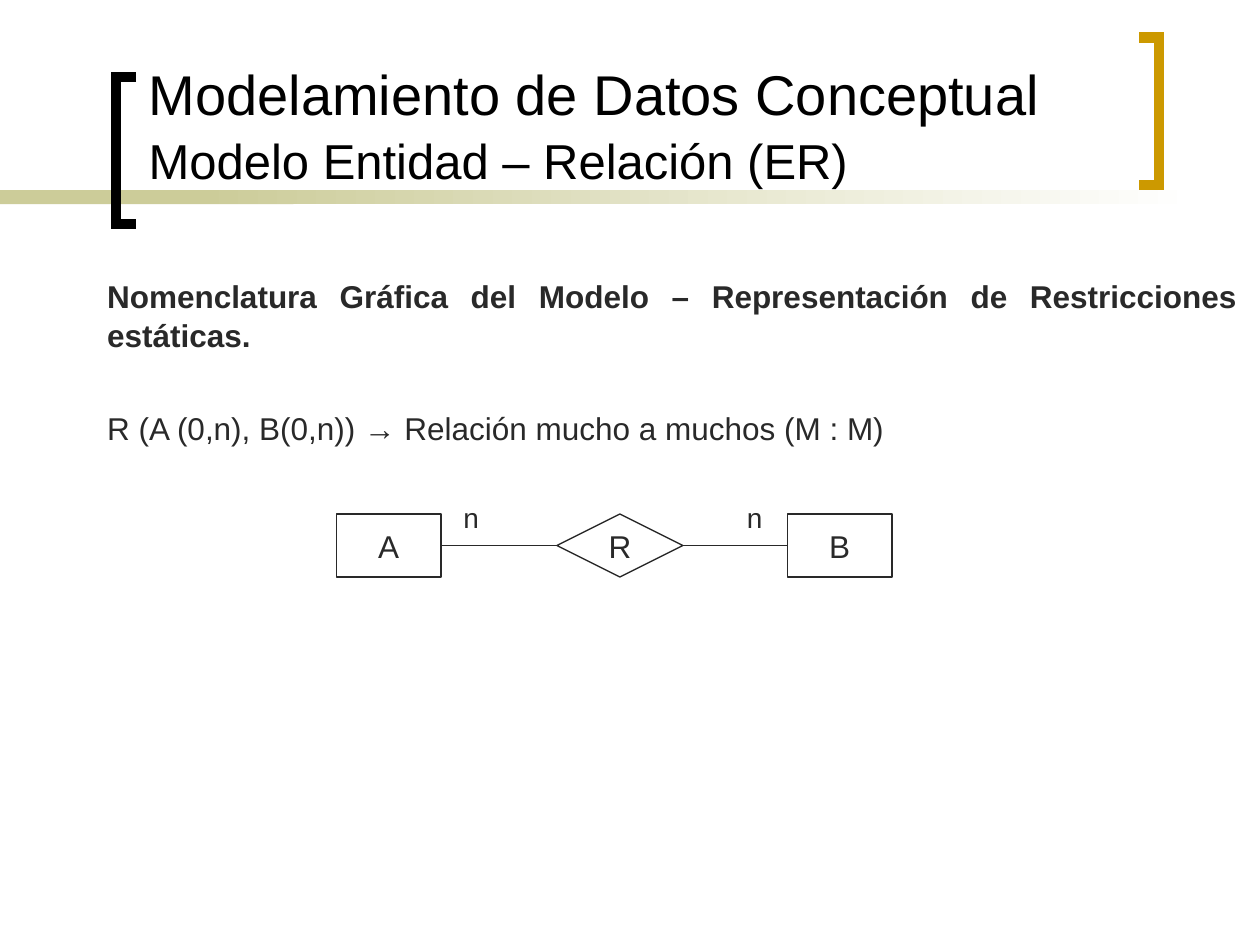
from lxml import etree
from pptx import Presentation
from pptx.dml.color import RGBColor
from pptx.enum.shapes import MSO_CONNECTOR, MSO_SHAPE
from pptx.enum.text import MSO_ANCHOR, MSO_AUTO_SIZE, PP_ALIGN
from pptx.oxml.ns import qn
from pptx.util import Inches, Pt

RECTANGLE = MSO_SHAPE.RECTANGLE
DECISION = MSO_SHAPE.FLOWCHART_DECISION
STRAIGHT = MSO_CONNECTOR.STRAIGHT
LEFT_SITE, RIGHT_SITE = 1, 3

BLACK = RGBColor(0x00, 0x00, 0x00)
WHITE = RGBColor(0xFF, 0xFF, 0xFF)
INK = RGBColor(0x29, 0x29, 0x29)
SAND = RGBColor(0xCC, 0xCC, 0x99)
GOLD = RGBColor(0xCC, 0x99, 0x00)


class SlideBuilder:
    font_name = "Arial"
    line_spacing = 1.05

    def __init__(self, slide):
        self.slide = slide
        self.shapes = slide.shapes

    def style(self, font, size, color=INK, bold=False):
        font.name = self.font_name
        font.size = Pt(size)
        font.bold = bold
        font.color.rgb = color

    def place(self, shape, left, top, width, height):
        shape.left, shape.top = Inches(left), Inches(top)
        shape.width, shape.height = Inches(width), Inches(height)

    def band(self, left, top, width, height, fade_to=None):
        """Borderless bar, solid or fading from left to right."""
        bar = self.shapes.add_shape(RECTANGLE, Inches(left), Inches(top),
                                    Inches(width), Inches(height))
        bar.shadow.inherit = False
        bar.line.fill.background()
        if fade_to is None:
            bar.fill.solid()
            bar.fill.fore_color.rgb = SAND
            return
        bar.fill.gradient()
        bar.fill.gradient_angle = 0
        for stop, color in zip(bar.fill.gradient_stops, (SAND, fade_to)):
            stop.color.rgb = color

    def bracket(self, open_x, spine_x, top, height, color):
        """Square bracket whose open side is at open_x."""
        bottom = top + height
        corners = [(spine_x, top), (spine_x, bottom), (open_x, bottom)]
        builder = self.shapes.build_freeform(Inches(open_x), Inches(top))
        builder.add_line_segments([(Inches(x), Inches(y)) for x, y in corners],
                                  close=False)
        outline = builder.convert_to_shape()
        outline.shadow.inherit = False
        outline.fill.background()
        outline.line.color.rgb = color
        outline.line.width = Pt(6)
        stroke = outline.line._get_or_add_ln()
        etree.SubElement(stroke, qn("a:miter"), lim="800000")

    def title(self, box, lines):
        """Title with one (text, size) pair for each line."""
        heading = self.shapes.title
        self.place(heading, *box)
        frame = heading.text_frame
        frame.auto_size = MSO_AUTO_SIZE.NONE
        frame.vertical_anchor = MSO_ANCHOR.BOTTOM
        paragraph = frame.paragraphs[0]
        paragraph.alignment = PP_ALIGN.LEFT
        paragraph.line_spacing = self.line_spacing
        for index, (text, size) in enumerate(lines):
            if index:
                paragraph.add_line_break()
            run = paragraph.add_run()
            run.text = text
            self.style(run.font, size, BLACK)

    def body(self, box, entries):
        """Unbulleted paragraphs given as (text, bold, space before)."""
        content = self.slide.placeholders[1]
        self.place(content, *box)
        frame = content.text_frame
        frame.auto_size = MSO_AUTO_SIZE.NONE
        frame.text = "\n".join(text for text, _, _ in entries)
        for paragraph, (_, bold, gap) in zip(frame.paragraphs, entries):
            paragraph.alignment = PP_ALIGN.JUSTIFY
            paragraph.line_spacing = self.line_spacing
            paragraph.space_before = Pt(gap)
            self.style(paragraph.font, 18, bold=bold)
            properties = paragraph._p.get_or_add_pPr()
            properties.set("marL", "0")
            properties.set("indent", "0")
            bullet = etree.Element(qn("a:buNone"))
            properties.find(qn("a:spcBef")).addnext(bullet)

    def node(self, kind, left, top, width, height, text):
        symbol = self.shapes.add_shape(kind, Inches(left), Inches(top),
                                       Inches(width), Inches(height))
        symbol.shadow.inherit = False
        symbol.fill.background()
        symbol.line.color.rgb = INK
        symbol.line.width = Pt(0.75)
        frame = symbol.text_frame
        frame.word_wrap = False
        frame.vertical_anchor = MSO_ANCHOR.MIDDLE
        frame.text = text
        frame.paragraphs[0].alignment = PP_ALIGN.CENTER
        self.style(frame.paragraphs[0].font, 18)
        return symbol

    def link(self, source, target):
        """Line from the right side of source to the left side of target."""
        line = self.shapes.add_connector(STRAIGHT, 0, 0, 0, 0)
        line.begin_connect(source, RIGHT_SITE)
        line.end_connect(target, LEFT_SITE)
        line.line.color.rgb = INK
        line.line.width = Pt(0.75)
        etree.SubElement(line._element.spPr, qn("a:effectLst"))

    def label(self, left, top, width, height, text):
        caption = self.shapes.add_textbox(Inches(left), Inches(top),
                                          Inches(width), Inches(height))
        frame = caption.text_frame
        frame.word_wrap = True
        frame.text = text
        frame.paragraphs[0].space_before = Pt(10)
        self.style(frame.paragraphs[0].font, 16)


def main():
    presentation = Presentation()
    presentation.slide_width = Inches(10)
    presentation.slide_height = Inches(7.5)
    layout = presentation.slide_layouts[1]
    builder = SlideBuilder(presentation.slides.add_slide(layout))

    builder.band(0, 1.51, 2.33, 0.11)
    builder.band(1.58, 1.51, 7.92, 0.11, fade_to=WHITE)
    builder.bracket(1.08, 0.92, 0.61, 1.17, BLACK)
    builder.bracket(9.04, 9.2, 0.3, 1.17, GOLD)

    builder.title((1.08, 0, 8, 1.55), [
        ("Modelamiento de Datos Conceptual", 32),
        ("Modelo Entidad – Relación (ER)", 28),
    ])
    builder.body((0.75, 2.13, 9.17, 4), [
        ("Nomenclatura Gráfica del Modelo – Representación de Restricciones "
         "estáticas.", True, 4.5),
        ("R (A (0,n), B(0,n)) → Relación mucho a muchos (M : M)", False, 30.5),
    ])

    node_top, node_height = 4.08, 0.5
    entity_a = builder.node(RECTANGLE, 2.67, node_top, 0.83, node_height, "A")
    entity_b = builder.node(RECTANGLE, 6.25, node_top, 0.83, node_height, "B")
    relation = builder.node(DECISION, 4.42, node_top, 1, node_height, "R")
    builder.link(entity_a, relation)
    builder.link(relation, entity_b)
    for cardinality_left in (3.58, 5.83):
        builder.label(cardinality_left, 3.92, 0.33, 0.37, "n")

    presentation.save("out.pptx")


if __name__ == "__main__":
    main()
